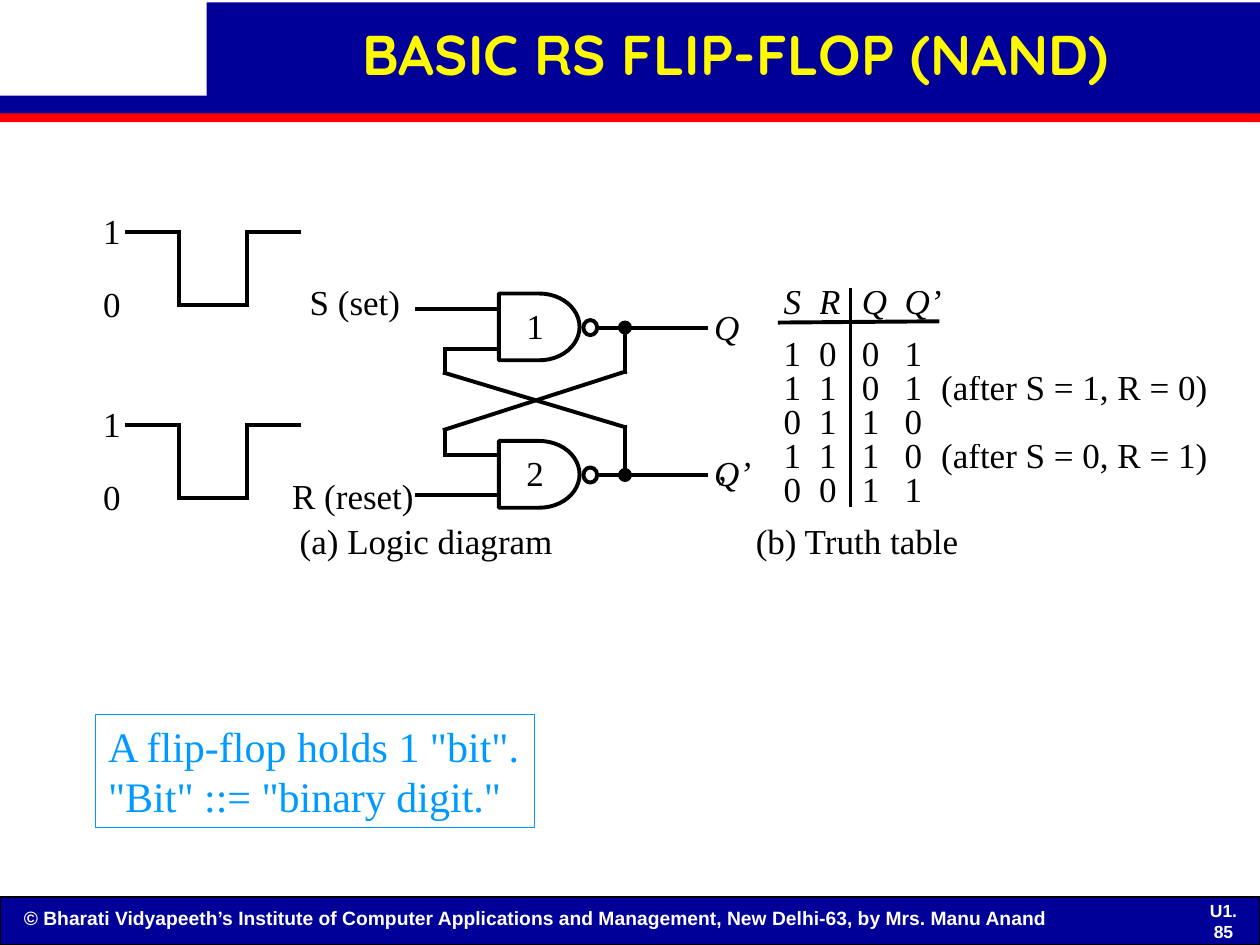
from lxml.etree import SubElement
from pptx import Presentation
from pptx.dml.color import RGBColor
from pptx.enum.shapes import MSO_CONNECTOR, MSO_SHAPE
from pptx.enum.text import MSO_ANCHOR, PP_ALIGN
from pptx.oxml.ns import qn
from pptx.util import Inches, Pt

NAVY, RED, YELLOW, SKY = "000099", "FF0000", "FEF800", "0099FF"
BLACK, WHITE = "000000", "FFFFFF"


def color(hex_text):
    return RGBColor.from_string(hex_text)


def write(para, text, size=20, font="Times New Roman", ink=BLACK,
          bold=False, italic=False, align=PP_ALIGN.LEFT, spacing=None):
    """Add one formatted span of text to a paragraph."""
    para.alignment = align
    if spacing:
        para.line_spacing = spacing
    span = para.add_run()
    span.text = text
    span.font.name, span.font.size = font, Pt(size)
    span.font.bold, span.font.italic = bold, italic
    span.font.color.rgb = color(ink)


class Sketch:
    """Holds the page and the line style of the diagram."""

    def __init__(self, page, line_width=2.25):
        self.page = page
        self.line_width = line_width

    def shape(self, kind, left, top, width, height, fill=None, line=None, weight=None):
        box = self.page.shapes.add_shape(
            kind, Inches(left), Inches(top), Inches(width), Inches(height))
        box.shadow.inherit = False
        if fill:
            box.fill.solid()
            box.fill.fore_color.rgb = color(fill)
        else:
            box.fill.background()
        if line:
            box.line.color.rgb = color(line)
            box.line.width = Pt(weight or self.line_width)
        else:
            box.line.fill.background()
        return box

    def text(self, left, middle, text, width=0.7, height=0.42, **style):
        """Place text whose line is centred on the height `middle`."""
        box = self.page.shapes.add_textbox(
            Inches(left), Inches(middle - height / 2), Inches(width), Inches(height))
        frame = box.text_frame
        frame.word_wrap = True
        frame.vertical_anchor = MSO_ANCHOR.MIDDLE
        write(frame.paragraphs[0], text, **style)

    def wire(self, *points):
        """Join the points with straight lines."""
        for start, end in zip(points, points[1:]):
            line = self.page.shapes.add_connector(
                MSO_CONNECTOR.STRAIGHT, *map(Inches, start + end))
            line.line.color.rgb = color(BLACK)
            line.line.width = Pt(self.line_width)
            line.line._get_or_add_ln().set("cap", "sq")
            SubElement(line._element.spPr, qn("a:effectLst"))

    def pulse(self, top):
        """Draw a 1-0-1 input waveform with its level labels."""
        low = top + 0.58
        self.wire((1.01, top), (1.42, top), (1.42, low),
                  (1.96, low), (1.96, top), (2.37, top))
        for level, digit in [(top, "1"), (low, "0")]:
            self.text(0.72, level - 0.01, digit)

    def gate(self, middle, number):
        """Draw a NAND gate with its output wire and junction dot."""
        self.shape(MSO_SHAPE.FLOWCHART_DELAY, 3.96, middle - 0.27, 0.64, 0.53, line=BLACK)
        self.shape(MSO_SHAPE.FLOWCHART_CONNECTOR, 4.63, middle - 0.06, 0.11, 0.12, line=BLACK)
        self.shape(MSO_SHAPE.FLOWCHART_CONNECTOR, 4.92, middle - 0.04, 0.08, 0.08,
                   fill=BLACK, line=BLACK)
        self.wire((4.74, middle), (5.6, middle))
        self.text(4.08, middle - 0.02, number)

    def truth_table(self, left, top, widths, rows, head_height, row_height):
        height = head_height + row_height * (len(rows) - 1)
        table = self.page.shapes.add_table(
            len(rows), len(widths), Inches(left), Inches(top),
            Inches(sum(widths)), Inches(height)).table
        table.first_row = table.horz_banding = False
        for column, width in zip(table.columns, widths):
            column.width = Inches(width)
        for r, values in enumerate(rows):
            table.rows[r].height = Inches(row_height if r else head_height)
            for c, value in enumerate(values):
                cell = table.cell(r, c)
                cell.fill.background()
                cell.margin_left = cell.margin_right = 0
                cell.margin_top = cell.margin_bottom = 0
                para = cell.text_frame.paragraphs[0]
                if value:
                    write(para, value, italic=r == 0, spacing=0.8)
                else:
                    # Keep an empty cell from stretching its row
                    SubElement(para._p, qn("a:endParaRPr"), sz="1000")
        # The last heading needs the room of the remarks column
        table.cell(0, 3).merge(table.cell(0, 4))


def main():
    deck = Presentation()
    deck.slide_width, deck.slide_height = Inches(10), Inches(7.5)
    page = deck.slides.add_slide(deck.slide_layouts[5])
    sketch = Sketch(page)

    # Header bands and footer
    for *place, fill in [(0, 0.76, 10, 0.16, NAVY), (0, 0.9, 10, 0.07, RED),
                         (1.64, 0.02, 8.36, 0.8, NAVY)]:
        sketch.shape(MSO_SHAPE.RECTANGLE, *place, fill=fill)
    sketch.shape(MSO_SHAPE.RECTANGLE, 0, 7.12, 10, 0.38, fill=NAVY, line=BLACK, weight=0.75)
    small = dict(font="Arial", ink=WHITE, bold=True)
    sketch.text(0.09, 7.28, "© Bharati Vidyapeeth’s Institute of Computer Applications "
                "and Management, New Delhi-63, by Mrs. Manu Anand",
                width=9.18, height=0.29, size=11, **small)
    sketch.text(9.45, 7.31, "U1. 85", width=0.52, height=0.24, size=10,
                align=PP_ALIGN.CENTER, **small)

    # Title, brought in front of the header bands
    title = page.shapes.title
    title.left, title.top = Inches(1.64), Inches(0.06)
    title.width, title.height = Inches(8.4), Inches(0.8)
    title.text_frame.vertical_anchor = MSO_ANCHOR.MIDDLE
    write(title.text_frame.paragraphs[0], "BASIC RS FLIP-FLOP (NAND)", size=32,
          font="Quicksand", ink=YELLOW, bold=True, align=PP_ALIGN.CENTER, spacing=0.88)
    page.shapes._spTree.append(title._element)

    # Input waveforms
    sketch.pulse(1.84)
    sketch.pulse(3.37)

    # Gates with inputs and crossed feedback
    sketch.gate(2.6, "1")
    sketch.gate(3.77, "2")
    sketch.wire((3.31, 2.45), (3.96, 2.45))
    sketch.wire((3.31, 3.93), (3.96, 3.93))
    sketch.wire((3.96, 2.77), (3.53, 2.77), (3.53, 2.96), (4.96, 3.39), (4.96, 3.77))
    sketch.wire((3.96, 3.61), (3.53, 3.61), (3.53, 3.41), (4.96, 2.95), (4.96, 2.6))

    # Signal names and captions
    for left, middle, width, name in [(2.36, 2.39, 1.2, "S (set)"),
                                      (2.22, 3.93, 1.4, "R (reset)"),
                                      (2.28, 4.29, 2.8, "(a) Logic diagram"),
                                      (5.9, 4.29, 2.4, "(b) Truth table")]:
        sketch.text(left, middle, name, width=width)
    for middle, name in [(2.59, "Q"), (3.75, "Q’"), (3.86, "’")]:
        sketch.text(5.57, middle, name, italic=True)

    # Truth table with its rules
    sketch.truth_table(6.22, 2.3, [0.28, 0.34, 0.34, 0.29, 2.3], [
        ("S", "R", "Q", "Q’", ""),
        ("1", "0", "0", "1", ""),
        ("1", "1", "0", "1", "(after S = 1, R = 0)"),
        ("0", "1", "1", "0", ""),
        ("1", "1", "1", "0", "(after S = 0, R = 1)"),
        ("0", "0", "1", "1", ""),
    ], head_height=0.41, row_height=0.27)
    sketch.wire((6.75, 2.3), (6.75, 4.01))
    sketch.wire((6.19, 2.56), (7.44, 2.55))

    # Definition box
    note = sketch.shape(MSO_SHAPE.RECTANGLE, 0.76, 5.67, 3.48, 0.9, line=SKY, weight=0.75)
    frame = note.text_frame
    frame.word_wrap = False
    frame.vertical_anchor = MSO_ANCHOR.TOP
    write(frame.paragraphs[0], 'A flip-flop holds 1 "bit".', size=24, ink=SKY)
    write(frame.add_paragraph(), '"Bit" ::= "binary digit."', size=24, ink=SKY)

    deck.save("out.pptx")


if __name__ == "__main__":
    main()
